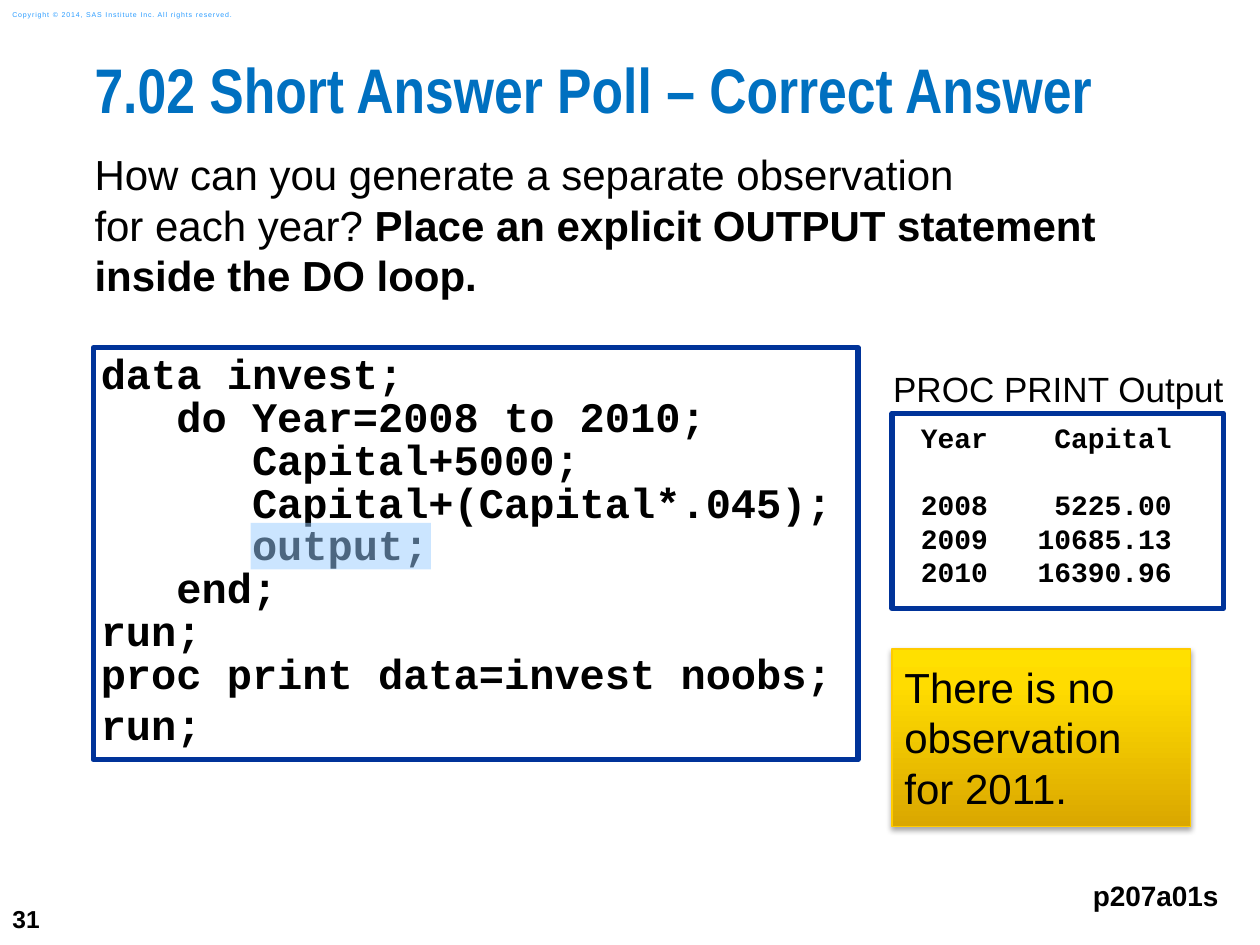
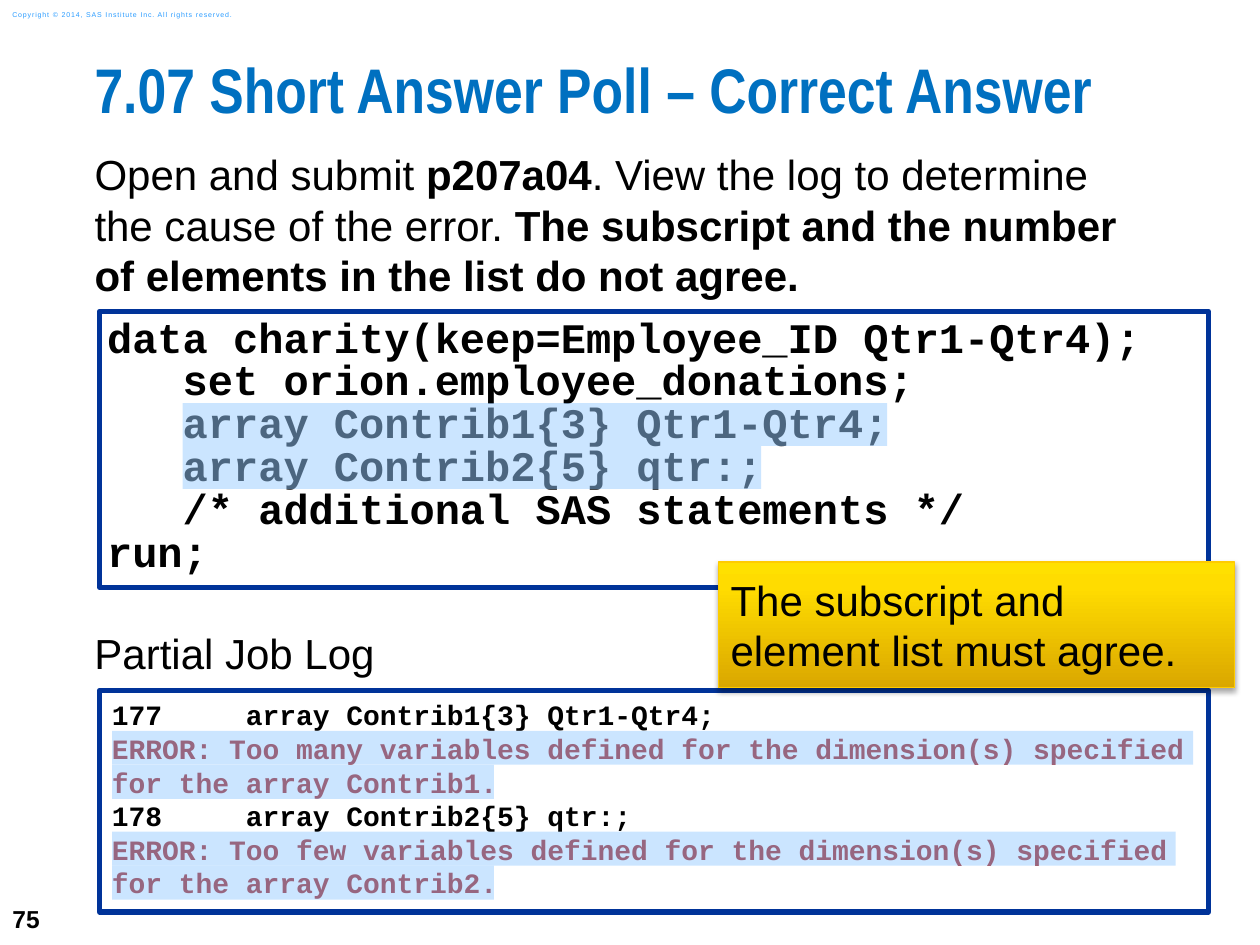
import pptx
import pptx.dml.color
import pptx.enum.shapes
import pptx.enum.text
import pptx.oxml
import pptx.oxml.ns
import pptx.util
from dataclasses import dataclass

Inches = pptx.util.Inches
Pt = pptx.util.Pt
RGB = pptx.dml.color.RGBColor.from_string
ANCHOR = pptx.enum.text.MSO_ANCHOR
ALIGN = pptx.enum.text.PP_ALIGN
NS = pptx.oxml.ns.nsdecls("a")


@dataclass(frozen=True)
class Theme:
    sans: str = "Arial"
    narrow: str = "Arial Narrow"
    mono: str = "Courier New"
    text: str = "000000"
    paper: str = "FFFFFF"
    title: str = "0070C0"
    frame: str = "003399"
    notice: str = "2A9CFF"
    error: str = "960000"
    marker: str = "99CCFF"
    callout_line: str = "FFCB00"
    callout_stops: tuple = ((0, "DAA700"), (80, "FFDC00"), (100, "FFE000"))
    title_pt: int = 36
    body_pt: int = 24
    label_pt: int = 20
    output_pt: int = 16
    number_pt: int = 14
    notice_pt: int = 4


def write(sp, text, size, font=None, color=None, bold=False, inset=(0, 0), anchor=ANCHOR.TOP,
          align=ALIGN.LEFT, wrap=True, leading=None, tracking=None, tab=None, error=None):
    tf = sp.text_frame
    tf.word_wrap = wrap
    tf.vertical_anchor = anchor
    tf.margin_left = tf.margin_right = Inches(inset[0])
    tf.margin_top = tf.margin_bottom = Inches(inset[1])
    for i, line in enumerate(text.split("\n")):
        p = tf.add_paragraph() if i else tf.paragraphs[0]
        p.alignment = align
        if leading:
            p.line_spacing = leading
        if tab:
            p._p.get_or_add_pPr().append(pptx.oxml.parse_xml(
                f'<a:tabLst {NS}><a:tab pos="{Inches(tab)}" algn="r"/></a:tabLst>'))
        for j, part in enumerate(line.split("**")):
            if not part:
                continue
            r = p.add_run()
            r.text = part
            r.font.name = font
            r.font.size = Pt(size)
            r.font.bold = bold or j % 2 == 1
            r.font.color.rgb = RGB(error if error and line.startswith("ERROR") else color)
            if tracking:
                r._r.get_or_add_rPr().set("spc", str(int(tracking * 100)))
    return tf


class Deck:
    def __init__(self, theme):
        self.t = theme
        self.prs = pptx.Presentation()
        self.prs.slide_width = Inches(10)
        self.prs.slide_height = Inches(7.5)
        self.s = None

    def text(self, x, y, w, h, text, size, **fmt):
        sp = self.s.shapes.add_textbox(Inches(x), Inches(y), Inches(w), Inches(h))
        return write(sp, text, size, **{"font": self.t.sans, "color": self.t.text, **fmt})

    def rect(self, x, y, w, h, fill=None, line=None, width=0):
        sp = self.s.shapes.add_shape(pptx.enum.shapes.MSO_SHAPE.RECTANGLE,
                                     Inches(x), Inches(y), Inches(w), Inches(h))
        sp.shadow.inherit = False
        if fill:
            sp.fill.solid()
            sp.fill.fore_color.rgb = RGB(fill)
        if line:
            sp.line.color.rgb = RGB(line)
            sp.line.width = Pt(width)
        else:
            sp.line.fill.background()
        return sp

    def slide(self, number, title, question):
        t = self.t
        self.s = self.prs.slides.add_slide(self.prs.slide_layouts[6])
        self.text(0, 7.08, 0.58, 0.42, str(number), t.number_pt, bold=True,
                  inset=(0.1, 0.05), anchor=ANCHOR.MIDDLE, wrap=False)
        self.text(0, 0.03, 2.11, 0.17, "Copyright © 2014, SAS Institute Inc. All rights reserved.",
                  t.notice_pt, color=t.notice, inset=(0.1, 0.05), anchor=ANCHOR.MIDDLE,
                  wrap=False, tracking=0.5)
        self.text(0.75, 0.5, 9.25, 0.74, title, t.title_pt, font=t.narrow, color=t.title,
                  bold=True, leading=0.83)
        self.text(0.75, 1.18, 8.58, 1.25, question, t.body_pt)

    def listing(self, x, y, w, h, text, size, **fmt):
        sp = self.rect(x, y, w, h, self.t.paper, self.t.frame, 3)
        return write(sp, text, size, font=self.t.mono, color=self.t.text, bold=True, **fmt)

    def code(self, x, y, w, h, text):
        return self.listing(x, y, w, h, text, self.t.body_pt, inset=(0.06, 0.06), leading=0.85)

    def marker(self, x, y, w, h):
        sp = self.rect(x, y, w, h, self.t.marker)
        clr = sp.fill._xPr.find(".//" + pptx.oxml.ns.qn("a:srgbClr"))
        clr.append(pptx.oxml.parse_xml(f'<a:alpha {NS} val="50000"/>'))

    def callout(self, x, y, w, h, text):
        t = self.t
        sp = self.rect(x, y, w, h, line=t.callout_line, width=0.75)
        stops = "".join(f'<a:gs pos="{pos * 1000}"><a:srgbClr val="{c}"/></a:gs>'
                        for pos, c in t.callout_stops)
        spPr = sp._element.spPr
        spPr.find(pptx.oxml.ns.qn("a:prstGeom")).addnext(pptx.oxml.parse_xml(
            f'<a:gradFill {NS} rotWithShape="1"><a:gsLst>{stops}</a:gsLst>'
            '<a:lin ang="16200000" scaled="0"/></a:gradFill>'))
        spPr.find(pptx.oxml.ns.qn("a:effectLst")).append(pptx.oxml.parse_xml(
            f'<a:outerShdw {NS} blurRad="{Pt(3.1)}" dist="{Pt(1.8)}" dir="5400000" rotWithShape="0">'
            f'<a:srgbClr val="{t.text}"><a:alpha val="35000"/></a:srgbClr></a:outerShdw>'))
        write(sp, text, t.body_pt, font=t.sans, color=t.text, inset=(0.1, 0.1))


INVEST_CODE = """data invest;
   do Year=2008 to 2010;
      Capital+5000;
      Capital+(Capital*.045);
      output;
   end;
run;
proc print data=invest noobs;
run;"""

CHARITY_CODE = """data charity(keep=Employee_ID Qtr1-Qtr4);
   set orion.employee_donations;
   array Contrib1{3} Qtr1-Qtr4;
   array Contrib2{5} qtr:;
   /* additional SAS statements */
run;"""

CHARITY_LOG = """177     array Contrib1{3} Qtr1-Qtr4;
ERROR: Too many variables defined for the dimension(s) specified for the array Contrib1.
178     array Contrib2{5} qtr:;
ERROR: Too few variables defined for the dimension(s) specified for the array Contrib2."""

CAPITAL_BY_YEAR = (("Year", "Capital"), ("2008", "5225.00"),
                   ("2009", "10685.13"), ("2010", "16390.96"))


def do_loop_slide(deck):
    t = deck.t
    deck.slide(31, "7.02 Short Answer Poll – Correct Answer",
               "How can you generate a separate observation\n"
               "for each year? **Place an explicit OUTPUT statement inside the DO loop.**")
    deck.text(8.56, 6.92, 1.21, 0.37, "p207a01s", t.output_pt, bold=True, inset=(0.1, 0.05),
              anchor=ANCHOR.BOTTOM, align=ALIGN.RIGHT, wrap=False)
    tf = deck.code(0.74, 2.76, 6.07, 3.27, INVEST_CODE)
    tf.paragraphs[-1].line_spacing = 1.0
    deck.marker(1.99, 4.15, 1.43, 0.37)
    tf = deck.listing(7.08, 3.28, 2.63, 1.55, "\n".join("\t".join(row) for row in CAPITAL_BY_YEAR),
                      t.output_pt, inset=(0.23, 0.06), tab=1.99)
    tf.paragraphs[1].space_before = Pt(19)
    deck.text(6.99, 2.82, 2.84, 0.53, "PROC PRINT Output", t.label_pt, inset=(0.1, 0.1))
    deck.callout(7.08, 5.15, 2.37, 1.41, "There is no observation for 2011.")


def array_slide(deck):
    t = deck.t
    deck.slide(75, "7.07 Short Answer Poll – Correct Answer",
               "Open and submit **p207a04**. View the log to determine\n"
               "the cause of the error. **The subscript and the number**\n"
               "**of elements in the list do not agree.**")
    deck.text(0.75, 4.98, 4, 0.4, "Partial Job Log", t.body_pt)
    deck.code(0.79, 2.47, 8.8, 2.19, CHARITY_CODE)
    deck.listing(0.79, 5.48, 8.8, 1.76, CHARITY_LOG, t.output_pt, inset=(0.1, 0.06), error=t.error)
    deck.callout(5.7, 4.46, 4.1, 1, "The subscript and element list must agree.")
    for i, w in enumerate((5.59, 4.59)):
        deck.marker(1.45, 3.2 + 0.34 * i, w, 0.34)
    for y, first_w in ((5.8, 8.58), (6.6, 8.44)):
        for i, w in enumerate((first_w, 3.03)):
            deck.marker(0.89, y + 0.27 * i, w, 0.27)


def main():
    deck = Deck(Theme())
    do_loop_slide(deck)
    array_slide(deck)
    deck.prs.save("out.pptx")


if __name__ == "__main__":
    main()
